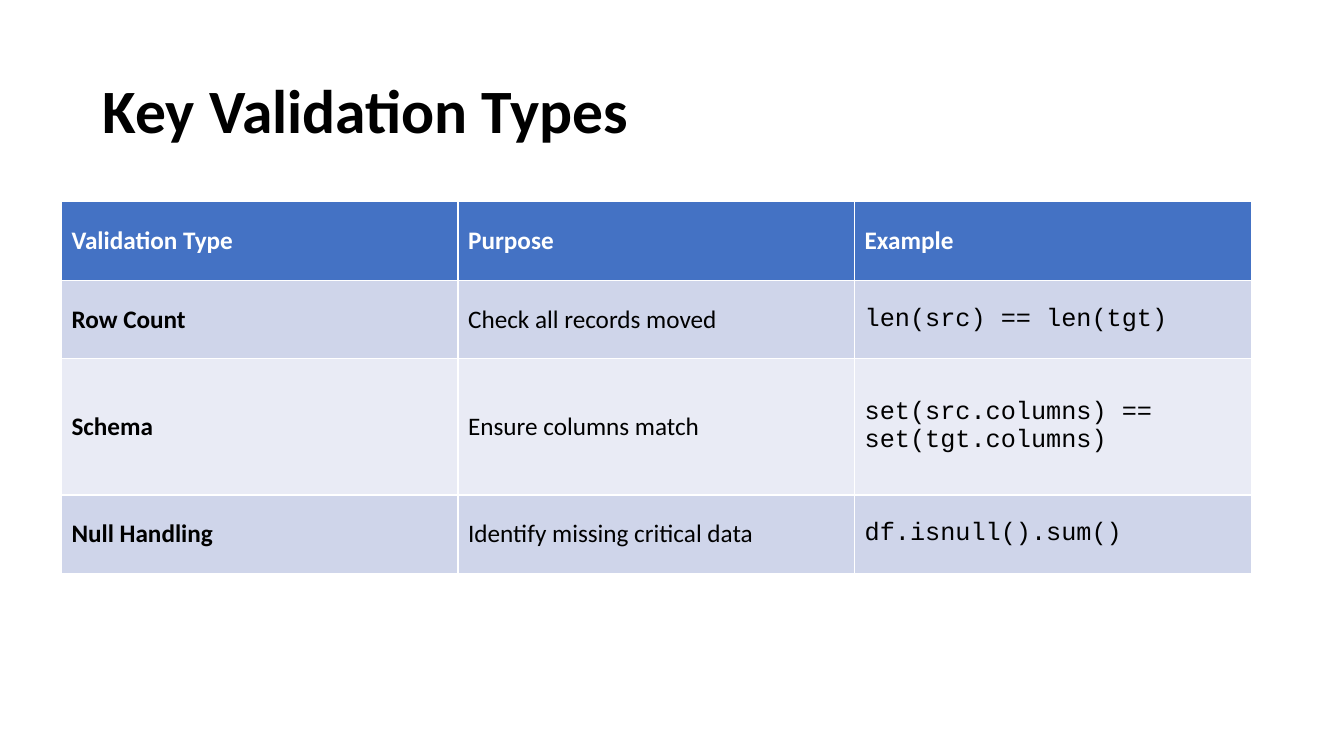
from pptx import Presentation
from pptx.dml.color import RGBColor
from pptx.enum.text import MSO_ANCHOR, PP_ALIGN
from pptx.util import Inches, Pt

BLACK = RGBColor(0x00, 0x00, 0x00)
WHITE = RGBColor(0xFF, 0xFF, 0xFF)
HEADER_BLUE = RGBColor(0x44, 0x72, 0xC4)
BAND_DARK = RGBColor(0xCF, 0xD5, 0xEA)
BAND_LIGHT = RGBColor(0xE9, 0xEB, 0xF5)


def write_text(frame, text, *, size=18, font="Calibri", color=BLACK, bold=False, spacing=1.0):
    frame.word_wrap = True
    paragraph = frame.paragraphs[0]
    paragraph.alignment = PP_ALIGN.LEFT
    paragraph.line_spacing = spacing
    run = paragraph.add_run()
    run.text = text
    run.font.size = Pt(size)
    run.font.name = font
    run.font.bold = bold
    run.font.color.rgb = color


presentation = Presentation()
presentation.slide_width = Inches(13.33)
presentation.slide_height = Inches(7.5)
slide = presentation.slides.add_slide(presentation.slide_layouts[5])

heading = slide.shapes.title
heading.left, heading.top = Inches(0.92), Inches(0.4)
heading.width, heading.height = Inches(11.5), Inches(1.45)
heading.text_frame.vertical_anchor = MSO_ANCHOR.MIDDLE
write_text(heading.text_frame, "Key Validation Types", size=44, bold=True, spacing=0.9)

validations = [
    ("Validation Type", "Purpose", "Example"),
    ("Row Count", "Check all records moved", "len(src) == len(tgt)"),
    ("Schema", "Ensure columns match", "set(src.columns) == set(tgt.columns)"),
    ("Null Handling", "Identify missing critical data", "df.isnull().sum()"),
]
row_heights = [0.78, 0.78, 1.35, 0.78]
row_fills = [HEADER_BLUE, BAND_DARK, BAND_LIGHT, BAND_DARK]
body_formats = [{"bold": True}, {}, {"font": "Courier New"}]
header_format = {"bold": True, "color": WHITE}

validation_table = slide.shapes.add_table(
    len(validations), 3, Inches(0.61), Inches(2), Inches(11.8), Inches(sum(row_heights))
).table
for column in validation_table.columns:
    column.width = Inches(11.8 / 3)

for row_index, (texts, height, fill) in enumerate(zip(validations, row_heights, row_fills)):
    validation_table.rows[row_index].height = Inches(height)
    formats = body_formats if row_index else [header_format] * 3
    for column_index, (text, text_format) in enumerate(zip(texts, formats)):
        cell = validation_table.cell(row_index, column_index)
        cell.fill.solid()
        cell.fill.fore_color.rgb = fill
        cell.vertical_anchor = MSO_ANCHOR.MIDDLE
        write_text(cell.text_frame, text, **text_format)

presentation.save("out.pptx")
